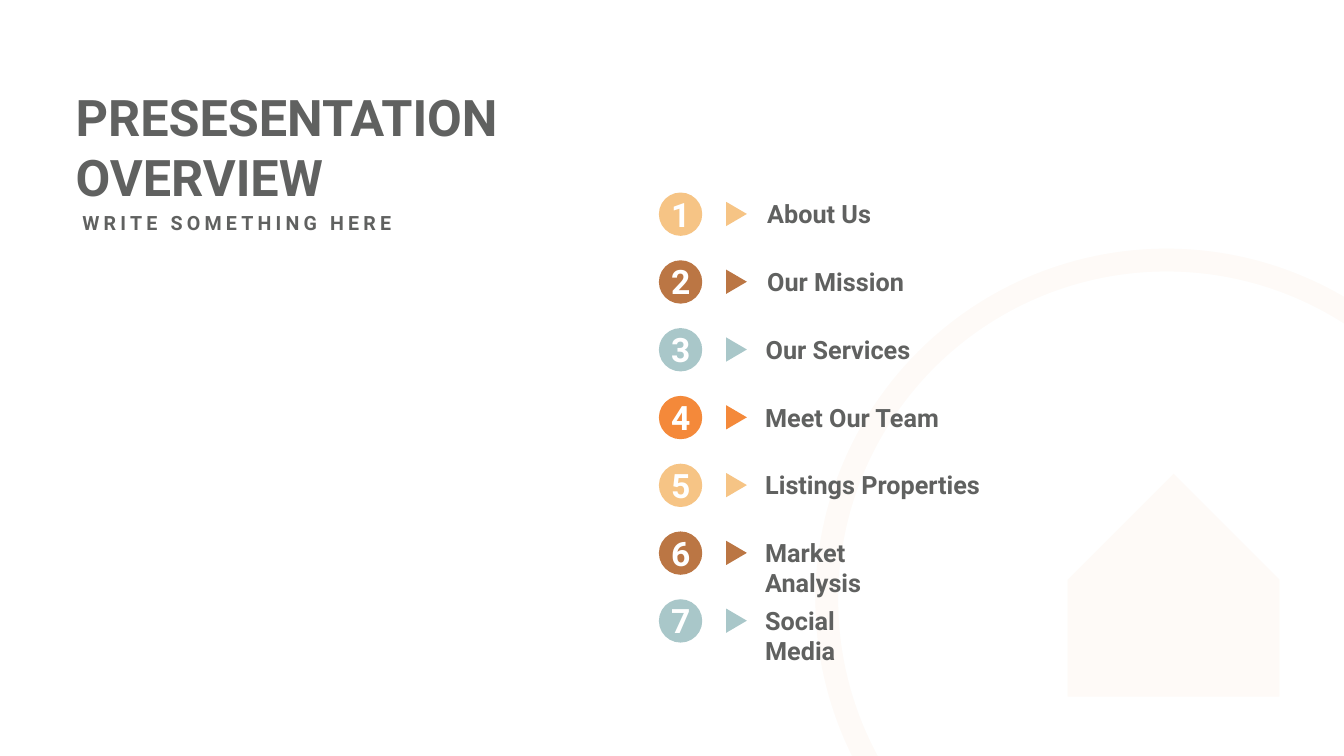
"""Build the presentation overview slide with its seven agenda entries."""
from dataclasses import dataclass
from typing import NamedTuple, Optional

from lxml import etree
from pptx import Presentation
from pptx import util as u
from pptx.dml.color import RGBColor
from pptx.enum import shapes, text
from pptx.oxml import ns

PX_PER_INCH = 200
SCALE = 914400 // PX_PER_INCH


@dataclass(frozen=True)
class Theme:
    font: str = "Roboto"
    grey: str = "606160"
    white: str = "FFFFFF"
    sand: str = "F6C485"
    brown: str = "BB7644"
    teal: str = "A9C7C9"
    orange: str = "F4893A"
    title_size: int = 72
    number_size: int = 48
    entry_size: int = 36
    subtitle_size: int = 28
    subtitle_spacing: int = 6
    ring_width: float = 32.5
    backdrop_alpha: int = 4


class Box(NamedTuple):
    x: int
    y: int
    w: int
    h: int

    def emu(self) -> list:
        return [u.Emu(v * SCALE) for v in self]


class Entry(NamedTuple):
    label: str
    color: str
    x: int
    width: int


THEME = Theme()
ROW_TOP = 764
ROW_PITCH = 269
ENTRIES = [
    Entry("About Us", THEME.sand, 3024, 480),
    Entry("Our Mission", THEME.brown, 3024, 584),
    Entry("Our Services", THEME.teal, 3018, 614),
    Entry("Meet Our Team", THEME.orange, 3016, 752),
    Entry("Listings Properties", THEME.sand, 3016, 904),
    Entry("Market Analysis", THEME.brown, 3016, 752),
    Entry("Social Media", THEME.teal, 3016, 614),
]


def set_alpha(color_parent, percent: int) -> None:
    """Make the solid colour below an element translucent."""
    clr = color_parent.find(".//" + ns.qn("a:srgbClr"))
    etree.SubElement(clr, ns.qn("a:alpha"), val=str(percent * 1000))


def add_filled(s, kind, box: Box, color: str, rotation: int = 0):
    """Add a preset shape with a plain fill and no outline."""
    sp = s.shapes.add_shape(kind, *box.emu())
    sp.shadow.inherit = False
    sp.rotation = rotation
    sp.fill.solid()
    sp.fill.fore_color.rgb = RGBColor.from_string(color)
    sp.line.fill.background()
    return sp


def write(sp, lines: list, size: int, color: str = THEME.grey,
          align=text.PP_ALIGN.LEFT, spacing: Optional[int] = None) -> None:
    """Fill a text shape with bold lines, one paragraph each."""
    tf = sp.text_frame
    frame_format = {"word_wrap": True, "auto_size": text.MSO_AUTO_SIZE.NONE,
                    "vertical_anchor": text.MSO_ANCHOR.TOP}
    for name, value in frame_format.items():
        setattr(tf, name, value)
    for i, line in enumerate(lines):
        p = tf.add_paragraph() if i else tf.paragraphs[0]
        p.alignment = align
        r = p.add_run()
        r.text = line
        font_format = {"name": THEME.font, "size": u.Pt(size), "bold": True}
        for name, value in font_format.items():
            setattr(r.font, name, value)
        r.font.color.rgb = RGBColor.from_string(color)
        if spacing:
            r.font._element.set("spc", str(spacing * 100))


def add_backdrop(s) -> None:
    """Draw the pale house and the ring around it."""
    house = add_filled(s, shapes.MSO_SHAPE.PENTAGON,
                       Box(4214, 1902, 884, 840), THEME.orange, 270)
    set_alpha(house.fill._xPr.find(ns.qn("a:solidFill")), THEME.backdrop_alpha)
    ring = add_filled(s, shapes.MSO_SHAPE.OVAL,
                      Box(3280, 1032, 2696, 2696), THEME.orange)
    ring.fill.background()
    ring.line.color.rgb = RGBColor.from_string(THEME.orange)
    ring.line.width = u.Pt(THEME.ring_width)
    set_alpha(ring.line._get_or_add_ln(), THEME.backdrop_alpha)


def add_entry(s, index: int, entry: Entry) -> None:
    """Draw one agenda row: numbered disc, arrow and label."""
    y = ROW_TOP + index * ROW_PITCH
    add_filled(s, shapes.MSO_SHAPE.OVAL, Box(2614, y, 172, 172), entry.color)
    add_filled(s, shapes.MSO_SHAPE.ISOSCELES_TRIANGLE,
               Box(2874, y + 44, 96, 82), entry.color, 90)
    label = s.shapes.add_textbox(*Box(entry.x, y + 14, entry.width, 142).emu())
    write(label, [entry.label], THEME.entry_size)
    number = s.shapes.add_textbox(*Box(2636, y - 6, 130, 182).emu())
    write(number, [str(index + 1)], THEME.number_size, THEME.white,
          text.PP_ALIGN.CENTER)


def add_heading(s) -> None:
    """Place the title and the spaced line below it."""
    title = s.shapes.title
    title.left, title.top, title.width, title.height = Box(
        280, 330, 1868, 504).emu()
    write(title, ["PRESESENTATION", "OVERVIEW"], THEME.title_size)
    subtitle = s.shapes.add_textbox(*Box(280, 828, 1320, 114).emu())
    write(subtitle, ["WRITE SOMETHING HERE"], THEME.subtitle_size,
          align=text.PP_ALIGN.CENTER, spacing=THEME.subtitle_spacing)


def main() -> None:
    """Build and save the slide."""
    prs = Presentation()
    prs.slide_width, prs.slide_height = Box(0, 0, 5332, 3000).emu()[2:]
    s = prs.slides.add_slide(prs.slide_layouts[5])
    add_backdrop(s)
    for index, entry in enumerate(ENTRIES):
        add_entry(s, index, entry)
    add_heading(s)
    prs.save("out.pptx")


if __name__ == "__main__":
    main()
